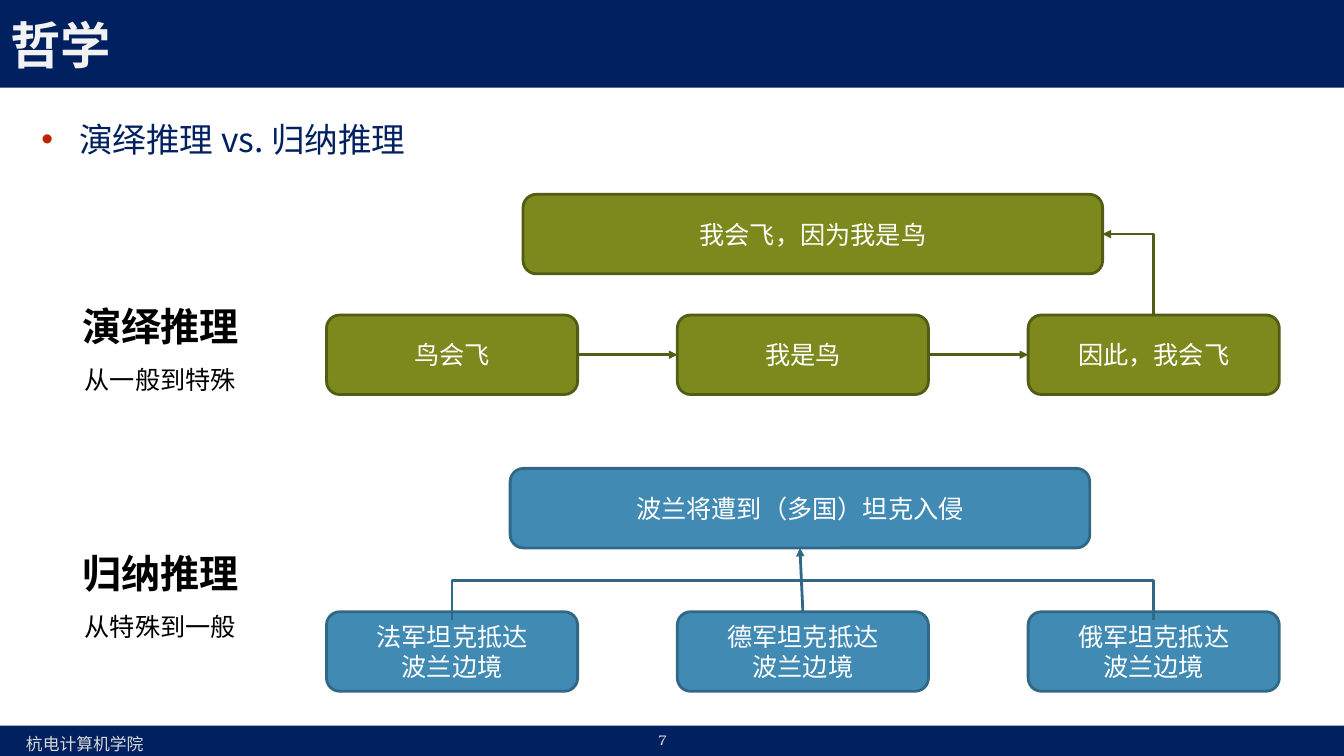
from lxml.etree import SubElement
from pptx import Presentation
from pptx.dml.color import RGBColor
from pptx.enum.shapes import MSO_CONNECTOR as CONNECTOR, MSO_SHAPE as SHAPE
from pptx.enum.text import MSO_ANCHOR as ANCHOR, MSO_AUTO_SIZE as AUTO_SIZE, PP_ALIGN as ALIGN
from pptx.oxml.ns import qn
from pptx.util import Pt

SANS, SERIF, NUMBER = "Noto Sans CJK SC", "Times New Roman", "TeX Gyre Bonum"
NAVY, FOOTER_GREY = "002060", "D9D9D9"
TITLE = "哲学"
TOPIC = "演绎推理 vs. 归纳推理"
BANDS = [(-2.2, 64.8), (518.4, 21.6)]
FOOTERS = [
    ("杭电计算机学院", (11.5, 520.6, 98.6, 21.6), 12, SANS),
    ("7", (463, 519.1, 25.2, 19.4), 10, NUMBER),
]
LABELS = [
    ("演绎推理", "从一般到特殊", 195.8),
    ("归纳推理", "从特殊到一般", 372.2),
]
INDUCTION = {
    "fill": "418AB3", "line": "316886",
    "conclusion": ("波兰将遭到（多国）坦克入侵", 364.4, 334.6),
    "premises": [f"{army}坦克抵达\n波兰边境" for army in ("法军", "德军", "俄军")],
    "top": 437,
}
DEDUCTION = {
    "fill": "7D891D", "line": "535C14",
    "conclusion": ("我会飞，因为我是鸟", 373.6, 138.8),
    "premises": ["鸟会飞", "我是鸟", "因此，我会飞"],
    "top": 225,
}
BOX_LEFT, BOX_STEP = 233.2, 250.6
BOX_WIDTH, WIDE_WIDTH, BOX_HEIGHT = 179.4, 414, 56.8
BRACKET_TOP, BRACKET_FOOT = 414.4, 442.8
TOP_SIDE, LEFT_SIDE, BOTTOM_SIDE, RIGHT_SIDE = range(4)


def rgb(value):
    return RGBColor.from_string(value)


def points(values):
    return [Pt(value) for value in values]


def style(paragraph, size, color, face, align=ALIGN.LEFT, bold=False):
    paragraph.alignment = align
    font = paragraph.font
    font.size, font.bold, font.name = Pt(size), bold, face
    font.color.rgb = rgb(color)
    defaults = paragraph._p.pPr.find(qn("a:defRPr"))
    if face == SANS:
        SubElement(defaults, qn("a:ea"), typeface=face)


def place(holder, box):
    holder.left, holder.top, holder.width, holder.height = points(box)
    holder.text_frame.auto_size = AUTO_SIZE.NONE


def stroke(line_shape, color, arrow=True):
    line_shape.line.color.rgb = rgb(color)
    line_shape.line.width = Pt(2)
    properties = line_shape.element.spPr
    if arrow:
        SubElement(properties.find(qn("a:ln")), qn("a:tailEnd"), type="triangle")
    if properties.find(qn("a:effectLst")) is None:
        SubElement(properties, qn("a:effectLst"))


def add_band(slide, top, height):
    band = slide.shapes.add_shape(SHAPE.RECTANGLE, *points((0, top, 960, height)))
    band.shadow.inherit = False
    band.fill.solid()
    band.fill.fore_color.rgb = rgb(NAVY)
    band.line.fill.background()
    slide.shapes.element.insert(2, band.element)


def add_text(slide, text, box):
    frame = slide.shapes.add_textbox(*points(box)).text_frame
    frame.word_wrap = False
    frame.text = text
    return frame.paragraphs


def add_box(slide, scheme, text, left, top, width):
    box = slide.shapes.add_shape(SHAPE.ROUNDED_RECTANGLE, *points((left, top, width, BOX_HEIGHT)))
    box.shadow.inherit = False
    box.fill.solid()
    box.fill.fore_color.rgb = rgb(scheme["fill"])
    box.line.color.rgb = rgb(scheme["line"])
    box.line.width = Pt(2)
    frame = box.text_frame
    frame.vertical_anchor = ANCHOR.MIDDLE
    frame.text = text
    for paragraph in frame.paragraphs:
        style(paragraph, 18, "FFFFFF", SERIF, ALIGN.CENTER)
    return box


def add_boxes(slide, scheme):
    conclusion = add_box(slide, scheme, *scheme["conclusion"], WIDE_WIDTH)
    premises = [
        add_box(slide, scheme, text, BOX_LEFT + i * BOX_STEP, scheme["top"], BOX_WIDTH)
        for i, text in enumerate(scheme["premises"])
    ]
    return conclusion, premises


def add_arrow(slide, color, source, source_side, target, target_side):
    arrow = slide.shapes.add_connector(CONNECTOR.STRAIGHT, 0, 0, 0, 0)
    arrow.begin_connect(source, source_side)
    arrow.end_connect(target, target_side)
    stroke(arrow, color)


def add_bent_line(slide, color, corners, arrow):
    start, *rest = [points(corner) for corner in corners]
    builder = slide.shapes.build_freeform(*start)
    builder.add_line_segments(rest, close=False)
    bent = builder.convert_to_shape()
    bent.shadow.inherit = False
    bent.fill.background()
    stroke(bent, color, arrow)


def main():
    deck = Presentation()
    deck.slide_width, deck.slide_height = Pt(960), Pt(540)
    slide = deck.slides.add_slide(deck.slide_layouts[1])
    title, topic = slide.placeholders

    for band in BANDS:
        add_band(slide, *band)

    place(title, (0, 5, 960, 53.3))
    title.text_frame.text = TITLE
    title.text_frame.vertical_anchor = ANCHOR.MIDDLE
    style(title.text_frame.paragraphs[0], 36, "F2F2F2", SANS, ALIGN.JUSTIFY, True)

    place(topic, (22.3, 77, 921.6, 59.8))
    topic.text_frame.text = TOPIC
    bullet = topic.text_frame.paragraphs[0]
    bullet.line_spacing = 1.14
    bullet.space_before = Pt(0)
    indents = bullet._p.get_or_add_pPr()
    indents.set("marL", str(Pt(27)))
    indents.set("indent", str(-Pt(27)))
    SubElement(SubElement(indents, qn("a:buClr")), qn("a:srgbClr"), val="B92500")
    SubElement(indents, qn("a:buFont"), typeface="Arial")
    SubElement(indents, qn("a:buChar"), char="•")
    style(bullet, 24, NAVY, SANS)

    for text, box, size, face in FOOTERS:
        style(add_text(slide, text, box)[0], size, FOOTER_GREY, face)

    for name, direction, top in LABELS:
        heading, detail = add_text(slide, f"{name}\n{direction}", (51.1, top, 126.8, 90.8))
        heading.line_spacing = detail.line_spacing = 1.5
        style(heading, 28, "000000", SANS, ALIGN.CENTER, True)
        style(detail, 18, "000000", SANS, ALIGN.CENTER)

    first_center = BOX_LEFT + BOX_WIDTH / 2
    last_center = first_center + 2 * BOX_STEP

    conclusion, premises = add_boxes(slide, INDUCTION)
    bracket = [(first_center, BRACKET_FOOT), (first_center, BRACKET_TOP),
               (last_center, BRACKET_TOP), (last_center, BRACKET_FOOT)]
    add_bent_line(slide, INDUCTION["line"], bracket, False)
    add_arrow(slide, INDUCTION["line"], premises[1], TOP_SIDE, conclusion, BOTTOM_SIDE)

    conclusion, premises = add_boxes(slide, DEDUCTION)
    for source, target in zip(premises, premises[1:]):
        add_arrow(slide, DEDUCTION["line"], source, RIGHT_SIDE, target, LEFT_SIDE)
    _, wide_left, wide_top = DEDUCTION["conclusion"]
    wide_middle = wide_top + BOX_HEIGHT / 2
    elbow = [(last_center, DEDUCTION["top"]), (last_center, wide_middle),
             (wide_left + WIDE_WIDTH, wide_middle)]
    add_bent_line(slide, DEDUCTION["line"], elbow, True)

    deck.save("out.pptx")


if __name__ == "__main__":
    main()
